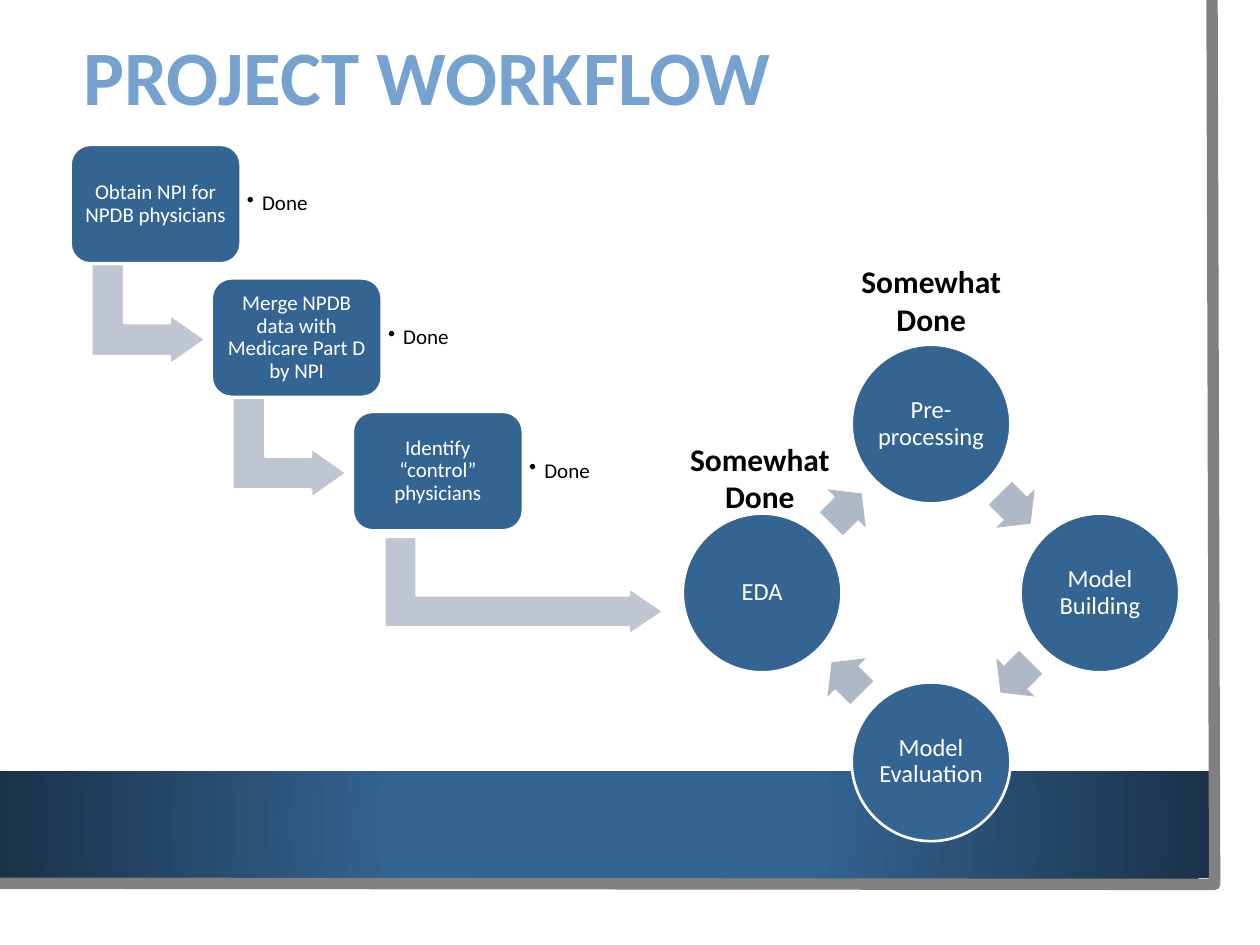
from collections import namedtuple
from dataclasses import dataclass
from math import cos, radians, sin

from lxml.etree import SubElement
from pptx import Presentation
from pptx.dml.color import RGBColor
from pptx.enum.shapes import MSO_SHAPE
from pptx.enum.text import MSO_ANCHOR, MSO_AUTO_SIZE, PP_ALIGN
from pptx.oxml import parse_xml
from pptx.oxml.ns import nsdecls, qn
from pptx.util import Pt

Box = namedtuple("Box", "left top width height")


@dataclass(frozen=True)
class Theme:
    """Colours, font and type sizes of the slide."""
    font: str = "Calibri"
    white: str = "FFFFFF"
    black: str = "000000"
    title: str = "75A2CE"
    blue: str = "346492"
    navy: str = "1A3249"
    frame: str = "808080"
    elbow: str = "BFC6D2"
    cycle_arrow: str = "AEB8C7"
    title_size: float = 44
    label_size: float = 18
    node_size: float = 14
    step_size: float = 12
    outline: float = 1.5
    frame_width: float = 6.5


THEME = Theme()


def apply(target, values):
    """Set each attribute of the target named in the values."""
    for name, value in values.items():
        setattr(target, name, value)


def margins(inset):
    """Return the format values for four equal text margins."""
    return {f"margin_{side}": Pt(inset) for side in ("left", "top", "right", "bottom")}


def write(frame, lines, size, color, frame_format=None, para_format=None, bold=False):
    """Fill a text frame with one paragraph for each line."""
    apply(frame, {"word_wrap": True, "vertical_anchor": MSO_ANCHOR.MIDDLE,
                  "auto_size": MSO_AUTO_SIZE.NONE, **(frame_format or {})})
    for index, line in enumerate(lines):
        para = frame.add_paragraph() if index else frame.paragraphs[0]
        apply(para, {"alignment": PP_ALIGN.CENTER, **(para_format or {})})
        span = para.add_run()
        span.text = line
        apply(span.font, {"name": THEME.font, "size": Pt(size), "bold": bold})
        span.font.color.rgb = RGBColor.from_string(color)


def add_block(page, kind, box, fill, outlined=False, rotation=0, adjustments=()):
    """Add a flat preset shape, with a white outline if asked."""
    shape = page.shapes.add_shape(kind, *map(Pt, box))
    shape.shadow.inherit = False
    shape.rotation = rotation
    for index, value in enumerate(adjustments):
        shape.adjustments[index] = value
    shape.fill.solid()
    shape.fill.fore_color.rgb = RGBColor.from_string(fill)
    if outlined:
        shape.line.color.rgb = RGBColor.from_string(THEME.white)
        shape.line.width = Pt(THEME.outline)
    else:
        shape.line.fill.background()
    return shape


def add_elbow(page, box, head=0.25):
    """Add an arrow that runs down and then right."""
    add_block(page, MSO_SHAPE.BENT_UP_ARROW, box, THEME.elbow, True, 90, (0.328, head, 0.358))


def add_backdrop(page, box):
    """Add the white panel, the shaded band and the grey frame."""
    add_block(page, MSO_SHAPE.RECTANGLE, box, THEME.white)
    band_box = Box(box.left, box.top + 440.6, 691.2, 61.2)
    band = add_block(page, MSO_SHAPE.RECTANGLE, band_box, THEME.blue)
    solid = band.element.spPr.find(qn("a:solidFill"))
    solid.getparent().replace(solid, parse_xml(
        f'<a:gradFill {nsdecls("a")} rotWithShape="1"><a:gsLst>'
        f'<a:gs pos="34000"><a:srgbClr val="{THEME.blue}"/></a:gs>'
        f'<a:gs pos="100000"><a:srgbClr val="{THEME.navy}"/></a:gs></a:gsLst>'
        '<a:path path="circle"><a:fillToRect l="50000" t="50000" r="50000" b="50000"/>'
        '</a:path></a:gradFill>'))
    corners = [(692.6, 0), (694.1, 505.4), (-1.4, 504.7)]
    points = [(Pt(box.left + x), Pt(box.top + y)) for x, y in corners]
    builder = page.shapes.build_freeform(*points[0])
    builder.add_line_segments(points[1:], close=False)
    frame = builder.convert_to_shape()
    frame.shadow.inherit = False
    frame.fill.background()
    frame.line.color.rgb = RGBColor.from_string(THEME.frame)
    frame.line.width = Pt(THEME.frame_width)


def add_title(page, box, text):
    """Place the title placeholder in front of the backdrop."""
    title = page.shapes.title
    title.element.getparent().append(title.element)
    apply(title, {name: Pt(value) for name, value in box._asdict().items()})
    write(title.text_frame, [text], THEME.title_size, THEME.title,
          para_format={"alignment": PP_ALIGN.LEFT, "line_spacing": 0.9}, bold=True)


def add_status(page, box, text):
    """Add a bulleted status note."""
    frame = page.shapes.add_textbox(*map(Pt, box)).text_frame
    write(frame, [text], THEME.step_size, THEME.black, margins(3.6),
          {"alignment": PP_ALIGN.LEFT, "line_spacing": 0.9})
    properties = frame.paragraphs[0]._p.get_or_add_pPr()
    apply_indent = {"marL": Pt(8.64), "indent": -Pt(8.64)}
    for name, value in apply_indent.items():
        properties.set(name, str(int(value)))
    SubElement(properties, qn("a:buChar"), char="•")


def add_steps(page, box, steps):
    """Add a staircase of steps, each with its status, joined by elbows."""
    width, height = 97.2, 67.7
    across = (box.width - width) / (len(steps) - 1)
    down = (box.height - height) / (len(steps) - 1)
    for index, (text, status) in enumerate(steps):
        left, top = box.left + index * across, box.top + index * down
        if index < len(steps) - 1:
            add_elbow(page, Box(left + 15.8, top + 64.1, 57.6, 65.5))
        step = add_block(page, MSO_SHAPE.ROUNDED_RECTANGLE, Box(left, top, width, height),
                         THEME.blue, True, adjustments=(0.167,))
        write(step.text_frame, [text], THEME.step_size, THEME.white, margins(3.6),
              {"line_spacing": 0.9})
        add_status(page, Box(left + width, top + 6.5, 70.6, 54.7), status)


def add_cycle(page, box, names):
    """Add a clockwise ring of circles from the top, with arrows between."""
    size, arrow_width, arrow_height = 90.7, 24.5, 31
    radius, step = (box.width - size) / 2, 360 / len(names)
    middle_x, middle_y = box.left + box.width / 2, box.top + box.height / 2

    def centred(distance, degrees, width, height):
        """Return a box centred on a point of the ring."""
        angle = radians(degrees)
        return Box(middle_x + distance * sin(angle) - width / 2,
                   middle_y - distance * cos(angle) - height / 2, width, height)

    for index, name in enumerate(names):
        degrees = index * step
        node = add_block(page, MSO_SHAPE.OVAL, centred(radius, degrees, size, size),
                         THEME.blue, True)
        write(node.text_frame, [name], THEME.node_size, THEME.white, margins(1.4),
              {"line_spacing": 0.9})
        arrow_box = centred(radius * cos(radians(step / 2)), degrees + step / 2,
                            arrow_width, arrow_height)
        add_block(page, MSO_SHAPE.RIGHT_ARROW, arrow_box, THEME.cycle_arrow,
                  rotation=degrees + step / 2, adjustments=(0.6, 0.5))


def add_label(page, box, lines):
    """Add a bold centred label."""
    frame = page.shapes.add_textbox(*map(Pt, box)).text_frame
    write(frame, lines, THEME.label_size, THEME.black,
          {"word_wrap": False, "vertical_anchor": MSO_ANCHOR.TOP,
           "auto_size": MSO_AUTO_SIZE.SHAPE_TO_FIT_TEXT}, bold=True)


def main():
    """Build the workflow slide and save it."""
    deck = Presentation()
    apply(deck, {"slide_width": Pt(720), "slide_height": Pt(540)})
    page = deck.slides.add_slide(deck.slide_layouts[5])
    add_backdrop(page, Box(0, 0, 707.8, 523.4))
    add_title(page, Box(40.3, 0.7, 614.2, 90.7), "PROJECT WORKFLOW")
    add_steps(page, Box(40.3, 82.8, 258.5, 220.3), [
        ("Obtain NPI for NPDB physicians", "Done"),
        ("Merge NPDB data with Medicare Part D by NPI", "Done"),
        ("Identify “control” physicians", "Done"),
    ])
    add_cycle(page, Box(390.2, 197, 283.7, 283.7),
              ["Pre-processing", "Model Building", "Model Evaluation", "EDA"])
    add_elbow(page, Box(271.4, 254.9, 56.2, 159.8), 0.241)
    for left, top in ((384.5, 247.7), (482.4, 146.2)):
        add_label(page, Box(left, top, 99.4, 51.1), ["Somewhat", "Done"])
    deck.save("out.pptx")


if __name__ == "__main__":
    main()
